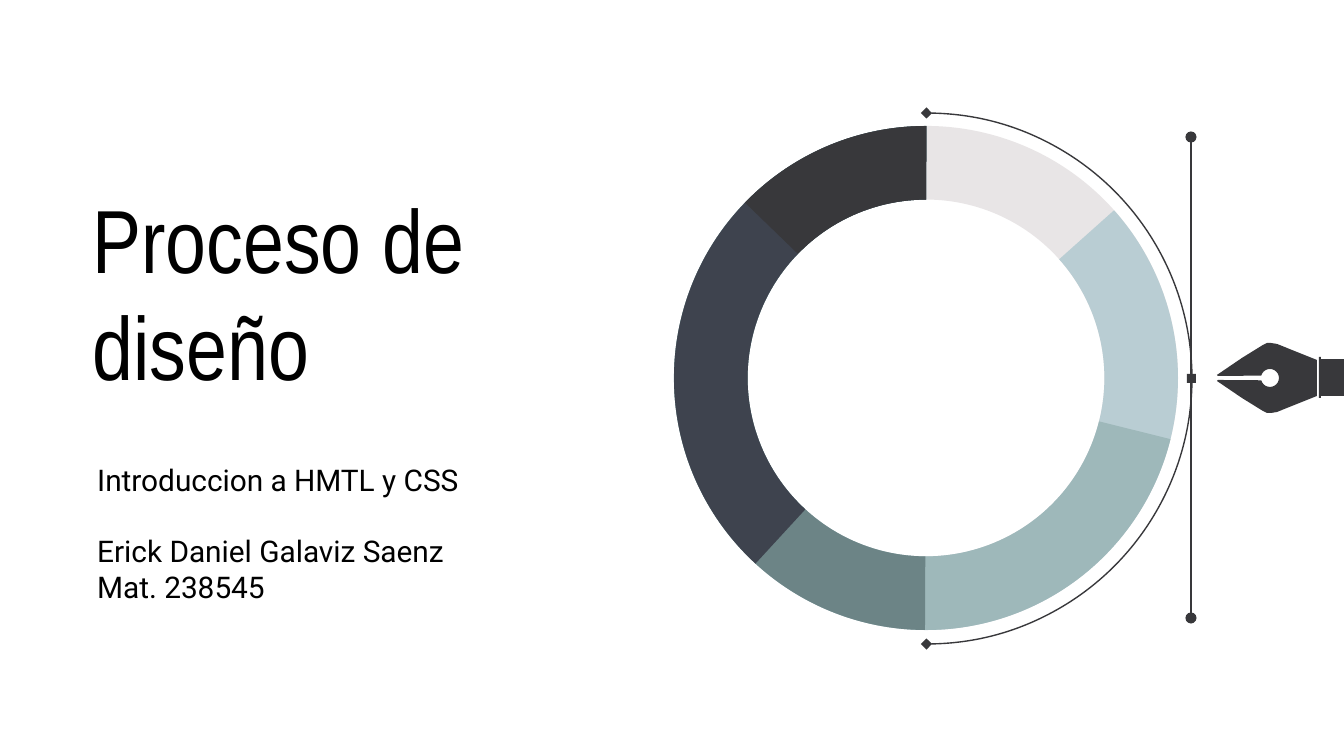
import math
from lxml import etree
from pptx import Presentation, util as u
from pptx.dml.color import RGBColor
from pptx.enum import shapes, text
from pptx.oxml.ns import qn

PX = 914400 / 134.4
COLORS = {
    "text": "000000", "ink": "38383B", "slate": "3E434E", "pine": "6C8486",
    "sage": "9EB8BA", "sky": "B9CDD3", "mist": "E8E5E6",
}
SHAPE = shapes.MSO_SHAPE


def px(*lengths):
    return [u.Emu(round(n * PX)) for n in lengths]


def style(shape, fill=None, ends=None):
    """Give a flat fill, or a thin ink line with the named ends."""
    if fill:
        shape.shadow.inherit = False
        shape.fill.solid()
        shape.fill.fore_color.rgb = RGBColor.from_string(COLORS[fill])
        shape.line.fill.background()
        return
    shape.line.width = u.Pt(0.75)
    shape.line.color.rgb = RGBColor.from_string(COLORS["ink"])
    line = shape.line._get_or_add_ln()
    for end in ("headEnd", "tailEnd"):
        etree.SubElement(line, qn("a:" + end), type=ends)
    etree.SubElement(shape._element.spPr, qn("a:effectLst"))


prs = Presentation()
prs.slide_width, prs.slide_height = px(1344, 756)
slide = prs.slides.add_slide(prs.slide_layouts[5])
canvas = slide.shapes

# Title and details
title = canvas.title
title.left, title.top, title.width, title.height = px(79, 180, 612, 222)
details = canvas.add_textbox(*px(84, 503, 612, 60))
frame_format = {
    "word_wrap": True, "auto_size": text.MSO_AUTO_SIZE.NONE,
    "vertical_anchor": text.MSO_ANCHOR.MIDDLE,
    "margin_left": u.Inches(0.1), "margin_right": u.Inches(0.1),
    "margin_top": u.Inches(0.1), "margin_bottom": u.Inches(0.1),
}
wording = [
    (title, "Arial Narrow", 48, ["Proceso de diseño"]),
    (details, "Roboto", 16, ["Introduccion a HMTL y CSS",
                             "Erick Daniel Galaviz Saenz", "Mat. 238545"]),
]
for block, font, size, lines in wording:
    frame = block.text_frame
    for name, value in frame_format.items():
        setattr(frame, name, value)
    frame.text = "\n".join(lines)
    for paragraph in frame.paragraphs:
        paragraph.alignment = text.PP_ALIGN.LEFT
        paragraph.font.name = font
        paragraph.font.size = u.Pt(size)
        paragraph.font.color.rgb = RGBColor.from_string(COLORS["text"])
details.text_frame.paragraphs[1].space_before = u.Pt(19)

# Pen: the nib is one half outline mirrored across its axis
AXIS = 378
hole = [(1270 + 9 * math.cos(math.radians(a)), 9 * math.sin(math.radians(a)))
        for a in range(0, 166, 15)]
half = hole + [(1218, 2), (1217, 3), (1242, 20), (1263, 33), (1267, 35),
               (1271, 35), (1277, 34), (1317, 18)]
nib_points = [(x, AXIS + y) for x, y in half]
nib_points += [(x, AXIS - y) for x, y in reversed(half)]
outline = [tuple(px(*point)) for point in nib_points]
builder = canvas.build_freeform(*outline[0])
builder.add_line_segments(outline[1:])
style(builder.convert_to_shape(), "ink")
for left, top, width, height in [(1320, 359, 24, 37), (1319, 357, 2, 41)]:
    style(canvas.add_shape(SHAPE.RECTANGLE, *px(left, top, width, height)), "ink")

# Curve with its handle and anchor point
curve = canvas.add_shape(SHAPE.ARC, *px(661, 113, 531, 531))
curve.rotation = 270
curve.adjustments[0], curve.adjustments[1] = 0, 108
curve.fill.background()
style(curve, ends="diamond")
handle = canvas.add_connector(shapes.MSO_CONNECTOR.STRAIGHT, *px(1191, 618, 1191, 137))
style(handle, ends="oval")
style(canvas.add_shape(SHAPE.RECTANGLE, *px(1187, 374, 9, 9)), "ink")

# Colour wheel: every arc runs from its start, in degrees, round to the top
RING = px(674, 126, 504, 504)
THICKNESS = 0.146
wheel = canvas.add_shape(SHAPE.DONUT, *RING)
wheel.adjustments[0] = THICKNESS
style(wheel, "mist")
for color, start in [("sky", 48.27), ("sage", 104.05), ("pine", 180.23),
                     ("slate", 222.58), ("ink", 314.1)]:
    sector = canvas.add_shape(SHAPE.BLOCK_ARC, *RING)
    sector.rotation = 270
    for i, value in enumerate([start * 0.6, 0.04, THICKNESS]):
        sector.adjustments[i] = value
    style(sector, color)

prs.save("out.pptx")
